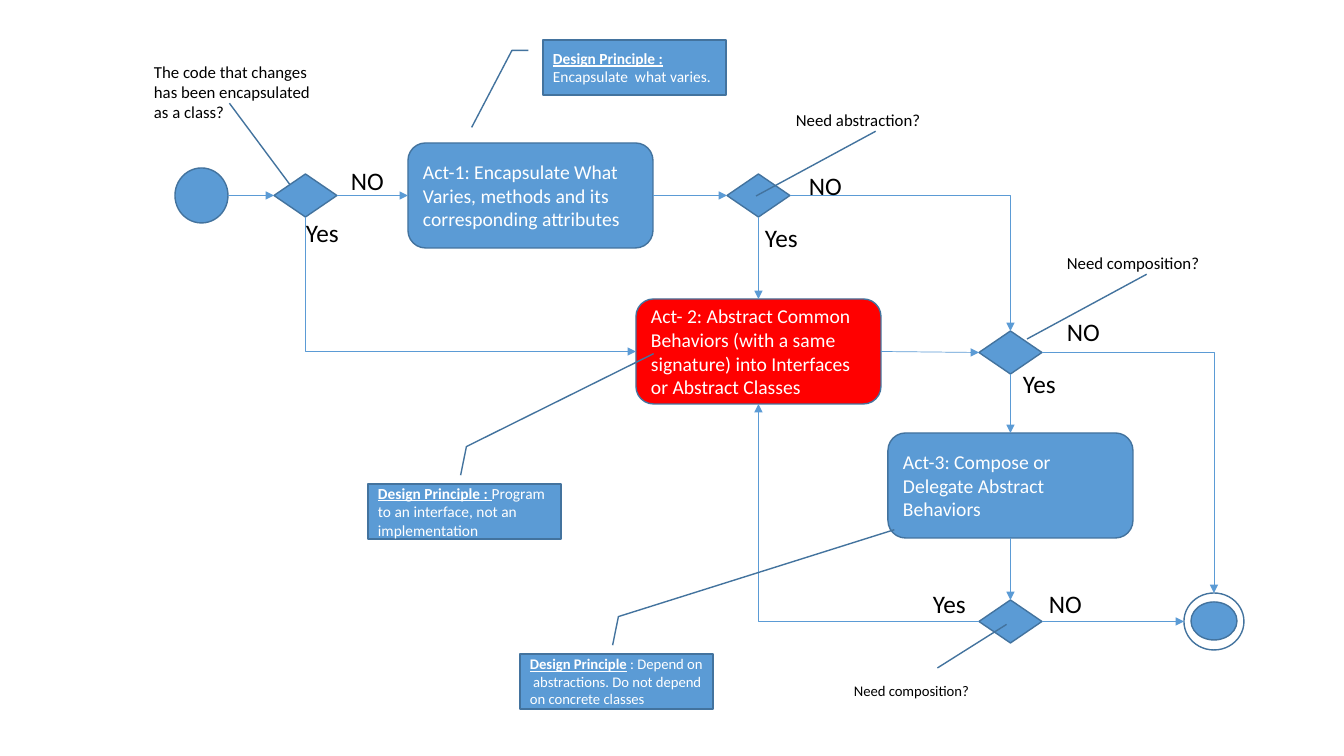
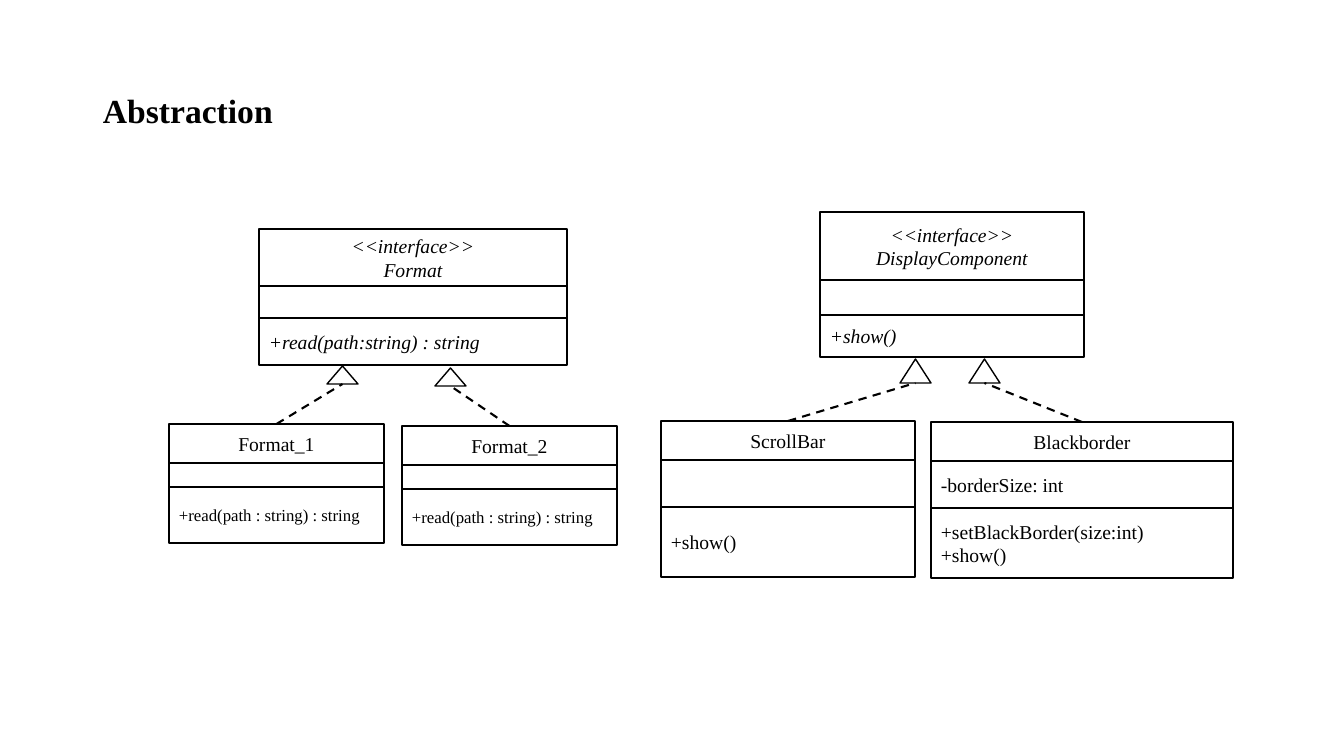
from lxml import etree
from pptx import Presentation
from pptx import util as u
from pptx.dml.color import RGBColor
from pptx.enum import dml, shapes, text
from pptx.oxml.ns import qn

PX = 914400 / 100.8
COLORS = {
    "blue": "5B9BD5",
    "edge": "43739E",
    "red": "FF0000",
    "white": "FFFFFF",
    "black": "000000",
}
SANS, SERIF = "Calibri", "Times New Roman"
KIND = shapes.MSO_SHAPE
SIDES = {"top": (0.5, 0), "left": (0, 0.5), "bottom": (0.5, 1), "right": (1, 0.5)}


def emu(*pixels):
    return [u.Emu(round(value * PX)) for value in pixels]


def color(name):
    return RGBColor.from_string(COLORS[name])


def set_font(font, size, ink, face, bold=None, italic=None):
    font.size = u.Pt(size)
    font.name = face
    font.color.rgb = color(ink)
    font.bold = bold
    font.italic = italic


def write(frame, lines, size, ink, face, align=text.PP_ALIGN.LEFT, bold=None, italic=None):
    for index, line in enumerate(lines):
        paragraph = frame.paragraphs[0] if index == 0 else frame.add_paragraph()
        paragraph.text = line
        paragraph.alignment = align
        set_font(paragraph.font, size, ink, face, bold, italic)


def draw(parent, kind, box, fill=None, edge="edge", adjust=()):
    shape = parent.shapes.add_shape(kind, *emu(*box))
    shape.shadow.inherit = False
    if fill:
        shape.fill.solid()
        shape.fill.fore_color.rgb = color(fill)
    else:
        shape.fill.background()
    shape.line.color.rgb = color(edge)
    shape.line.width = u.Pt(1)
    for index, value in enumerate(adjust):
        shape.adjustments[index] = value
    return shape


def activity(slide, left, top, lines, fill="blue"):
    shape = draw(slide, KIND.FLOWCHART_ALTERNATE_PROCESS, (left, top, 245, 105), fill)
    write(shape.text_frame, lines, 14, "white", SANS)
    return shape


def decision(slide, left, top):
    return draw(slide, KIND.FLOWCHART_DECISION, (left, top, 63, 43), "blue")


def circle(slide, box, fill=None):
    return draw(slide, KIND.FLOWCHART_CONNECTOR, box, fill)


def question(slide, box, wording, adjust, size=12):
    shape = draw(slide, KIND.LINE_CALLOUT_1_NO_BORDER, box, adjust=adjust)
    write(shape.text_frame, [wording], size, "black", SANS)


def principle(slide, box, heading, advice, adjust, size=11):
    shape = draw(slide, KIND.LINE_CALLOUT_2, box, "blue", adjust=adjust)
    paragraph = shape.text_frame.paragraphs[0]
    paragraph.alignment = text.PP_ALIGN.LEFT
    set_font(paragraph.font, size, "white", SANS)
    head = paragraph.add_run()
    head.text = heading
    head.font.bold = head.font.underline = True
    paragraph.add_run().text = advice


def answer(slide, wording, left, top):
    frame = slide.shapes.add_textbox(*emu(left, top, 53, 40)).text_frame
    frame.word_wrap = False
    frame.auto_size = text.MSO_AUTO_SIZE.SHAPE_TO_FIT_TEXT
    write(frame, [wording], 18, "black", SANS)


def side_point(shape, side):
    across, down = SIDES[side]
    return round(shape.left + shape.width * across), round(shape.top + shape.height * down)


def link(slide, start, end, ink, width, kind=shapes.MSO_CONNECTOR.STRAIGHT):
    line = slide.shapes.add_connector(kind, *start, *end)
    line.line.color.rgb = color(ink)
    line.line.width = u.Pt(width)
    etree.SubElement(line.element.spPr, qn("a:effectLst"))
    return line


def add_arrowhead(line):
    outline = line.element.spPr.find(qn("a:ln"))
    etree.SubElement(outline, qn("a:tailEnd"), type="triangle")


def flow(slide, source, source_side, target, target_side):
    line = link(slide, side_point(source, source_side), side_point(target, target_side), "blue", 0.5)
    add_arrowhead(line)
    for node, side, glue in (
        (source, source_side, line.begin_connect),
        (target, target_side, line.end_connect),
    ):
        if node.auto_shape_type != KIND.FLOWCHART_CONNECTOR:
            glue(node, list(SIDES).index(side))


def bent_flow(slide, source, source_side, target, target_side):
    start, end = side_point(source, source_side), side_point(target, target_side)
    down_first = source_side == "bottom"
    if down_first:
        (x1, y1), (x2, y2) = start, end
        middle_x, middle_y = (x1 + x2) // 2, (y1 + y2) // 2
        half_w, half_h = (y2 - y1) // 2, (x2 - x1) // 2
        start = middle_x - half_w, middle_y - half_h
        end = middle_x + half_w, middle_y + half_h
    line = link(slide, start, end, "blue", 0.5, shapes.MSO_CONNECTOR.ELBOW)
    add_arrowhead(line)
    properties = line.element.spPr
    properties.find(qn("a:prstGeom")).set("prst", "bentConnector2")
    if down_first:
        frame = properties.find(qn("a:xfrm"))
        frame.set("rot", str(270 * 60000))
        frame.set("flipH", "1")


def build_activity_flow(slide):
    start = circle(slide, (175, 168, 53, 55), "blue")
    encapsulate = activity(
        slide, 408, 143, ["Act-1: Encapsulate What Varies, methods and its corresponding attributes"]
    )
    abstract = activity(
        slide, 636, 299,
        [
            "Act- 2: Abstract Common",
            "Behaviors (with a same signature) into Interfaces",
            "or Abstract Classes",
        ],
        "red",
    )
    compose = activity(slide, 888, 433, ["Act-3: Compose or Delegate Abstract Behaviors"])
    encapsulated = decision(slide, 274, 174)
    needs_abstraction = decision(slide, 727, 174)
    needs_composition = decision(slide, 979, 331)
    needs_more = decision(slide, 979, 600)
    finish_group = slide.shapes.add_group_shape()
    finish = circle(finish_group, (1184, 593, 60, 57))
    circle(finish_group, (1191, 602, 46, 38), "blue")

    for route in (
        (start, "right", encapsulated, "left"),
        (encapsulated, "right", encapsulate, "left"),
        (encapsulate, "right", needs_abstraction, "left"),
        (needs_abstraction, "bottom", abstract, "top"),
        (abstract, "right", needs_composition, "left"),
        (needs_composition, "bottom", compose, "top"),
        (compose, "bottom", needs_more, "top"),
        (needs_more, "right", finish, "left"),
    ):
        flow(slide, *route)
    for route in (
        (needs_abstraction, "right", needs_composition, "top"),
        (needs_composition, "right", finish, "top"),
        (encapsulated, "bottom", abstract, "left"),
        (needs_more, "left", abstract, "bottom"),
    ):
        bent_flow(slide, *route)

    to_lower_left = (0.74, 0.48, 2.06, -0.16)
    question(
        slide, (144, 67, 178, 49), "The code that changes has been encapsulated as a class?",
        (0.74, 0.48, 2.4, 0.82),
    )
    question(slide, (786, 95, 187, 49), "Need abstraction?", to_lower_left)
    question(slide, (1057, 238, 187, 49), "Need composition?", to_lower_left)
    question(slide, (844, 666, 187, 49), "Need composition?", (0.04, 0.5, -0.85, 0.87), 10.5)

    principle(
        slide, (543, 40, 183, 55), "Design Principle : ", "Encapsulate  what varies.",
        (0.19, -0.08, 0.19, -0.17, 1.59, -0.39),
    )
    principle(
        slide, (368, 484, 193, 55), "Design Principle : ",
        "Program to an interface, not an implementation",
        (-0.16, 0.48, -0.68, 0.51, -2.37, 1.48),
    )
    principle(
        slide, (520, 654, 193, 55), "Design Principle",
        " : Depend on  abstractions. Do not depend on concrete classes",
        (-0.16, 0.48, -0.68, 0.51, -2.26, 1.94), 10.5,
    )

    for wording, left, top in (
        ("NO", 341, 160), ("Yes", 296, 212),
        ("NO", 799, 165), ("Yes", 755, 217),
        ("NO", 1057, 311), ("Yes", 1013, 363),
        ("NO", 1039, 583), ("Yes", 923, 583),
    ):
        answer(slide, wording, left, top)


def add_title(slide, wording):
    frame = slide.shapes.add_textbox(*emu(93, 40, 1159, 146)).text_frame
    frame.word_wrap = True
    frame.vertical_anchor = text.MSO_ANCHOR.MIDDLE
    write(frame, [wording], 24, "black", SERIF, bold=True)
    frame.paragraphs[0].line_spacing = 0.9


def class_box(slide, left, top, width, heights, name, fields, methods, abstract=None, method_size=14):
    group = slide.shapes.add_group_shape()
    center, flush = text.PP_ALIGN.CENTER, text.PP_ALIGN.LEFT
    parts = ((name, center, 14), (fields, flush, 14), (methods, flush, method_size))
    for height, (lines, align, size) in zip(heights, parts):
        part = draw(group, KIND.RECTANGLE, (left, top, width, height), edge="black")
        write(part.text_frame, lines, size, "black", SERIF, align, italic=abstract)
        top += height
    return group


def realize(slide, child, left, top, height):
    arrow = draw(slide, KIND.ISOSCELES_TRIANGLE, (left, top, 31, height), edge="black")
    line = link(slide, side_point(child, "top"), side_point(arrow, "bottom"), "black", 1.5)
    line.line.dash_style = dml.MSO_LINE.DASH


def build_abstraction(slide):
    add_title(slide, "Abstraction")
    class_box(
        slide, 820, 212, 264, (68, 35, 42),
        ["<<interface>>", "DisplayComponent"], [], ["+show()"], True,
    )
    class_box(
        slide, 259, 229, 308, (57, 32, 47),
        ["<<interface>>", "Format"], [], ["+read(path:string) : string"], True,
    )
    component_rows, format_rows = (39, 47, 70), (39, 24, 56)
    scroll_bar = class_box(slide, 661, 421, 254, component_rows, ["ScrollBar"], [], ["+show()"])
    black_border = class_box(
        slide, 931, 422, 302, component_rows, ["Blackborder"],
        ["-borderSize: int"], ["+setBlackBorder(size:int)", "+show()"],
    )
    first_format, second_format = (
        class_box(
            slide, left, top, 215, format_rows, [name], [],
            ["+read(path : string) : string"], method_size=12,
        )
        for name, left, top in (("Format_1", 169, 424), ("Format_2", 402, 426))
    )
    realize(slide, scroll_bar, 900, 359, 24)
    realize(slide, black_border, 969, 359, 24)
    realize(slide, first_format, 327, 366, 18)
    realize(slide, second_format, 435, 368, 18)


def main():
    deck = Presentation()
    deck.slide_width, deck.slide_height = emu(1344, 756)
    for build in (build_activity_flow, build_abstraction):
        build(deck.slides.add_slide(deck.slide_layouts[6]))
    deck.save("out.pptx")


main()
